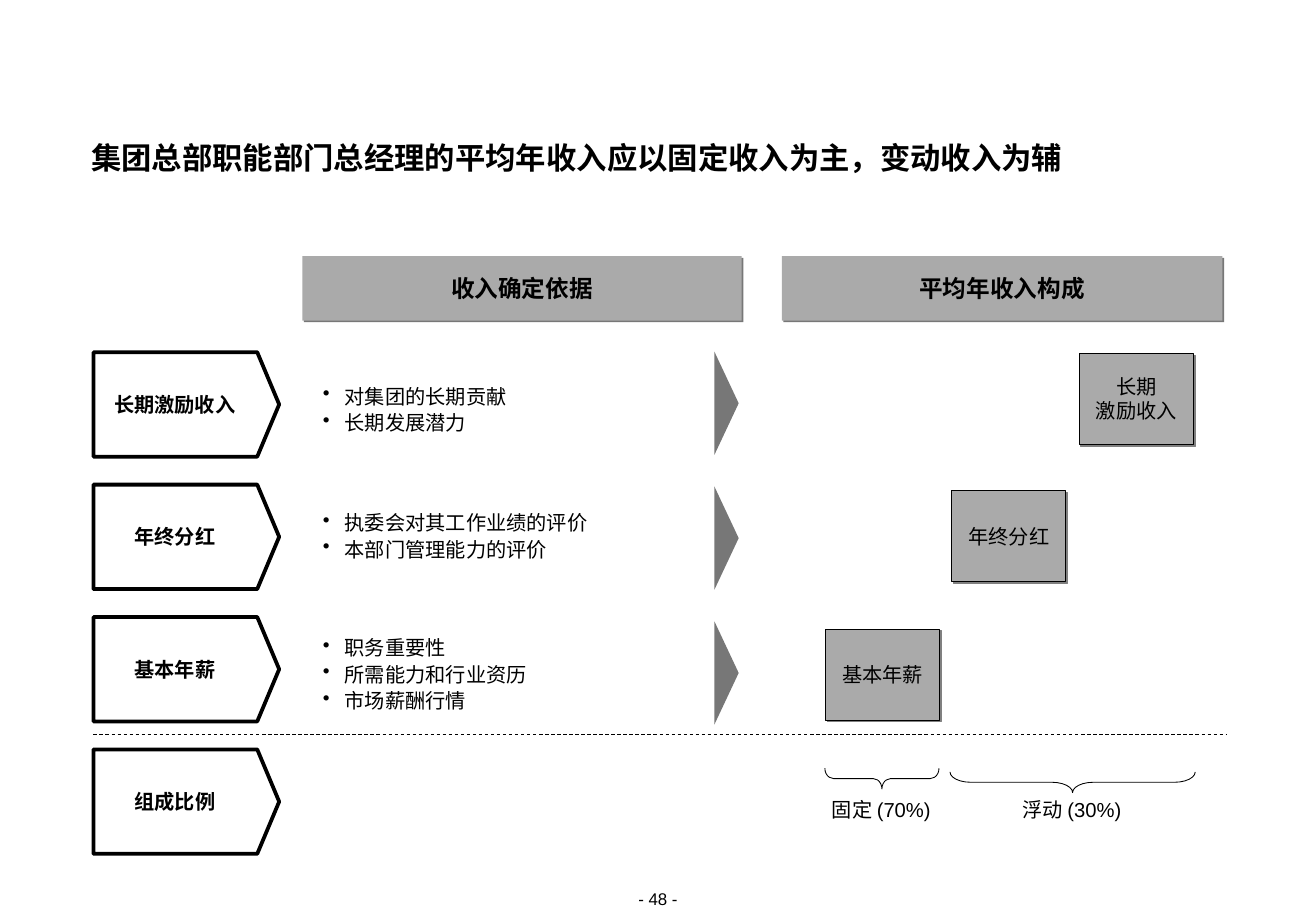
"""Build a slide on the pay mix of head-office general managers."""
from dataclasses import dataclass

from lxml import etree
from pptx import Presentation
from pptx.dml.color import RGBColor
from pptx.enum.dml import MSO_LINE
from pptx.enum.shapes import MSO_CONNECTOR, MSO_SHAPE
from pptx.enum.text import MSO_ANCHOR, MSO_AUTO_SIZE, PP_ALIGN
from pptx.oxml import parse_xml
from pptx.oxml.ns import nsdecls, qn
from pptx.util import Pt

PX = 9144
FONT = "Arial"
COLOR = {"ink": "000000", "panel": "AAAAAA", "arrow": "777777", "shade": "808080"}
RECT, TAG = MSO_SHAPE.RECTANGLE, MSO_SHAPE.PENTAGON
BRACE, MERGE = MSO_SHAPE.LEFT_BRACE, MSO_SHAPE.FLOWCHART_MERGE
LEFT, CENTER = PP_ALIGN.LEFT, PP_ALIGN.CENTER
TOP, MIDDLE = MSO_ANCHOR.TOP, MSO_ANCHOR.MIDDLE
FIXED, STRAIGHT, DASH = MSO_AUTO_SIZE.NONE, MSO_CONNECTOR.STRAIGHT, MSO_LINE.DASH


@dataclass(frozen=True)
class Area:
    x: int
    y: int
    w: int
    h: int

    def emu(self) -> tuple:
        return tuple(n * PX for n in (self.x, self.y, self.w, self.h))


@dataclass(frozen=True)
class Style:
    size: int = 12
    bold: bool = False
    align: int = CENTER
    anchor: int = MIDDLE
    space: object = None
    bullet: bool = False
    right: int = 0


@dataclass(frozen=True)
class Look:
    fill: str = ""
    line: float = 0
    shade: str = ""


@dataclass(frozen=True)
class Source:
    area: Area
    lines: tuple


@dataclass(frozen=True)
class Panel:
    area: Area
    text: str


@dataclass(frozen=True)
class Share:
    brace: Area
    bend: float
    label: Area
    text: str


HEAD = Style(14, True)
BODY = Style(space=Pt(14))
LABEL = Style(bold=True, right=10)
POINT = Style(align=LEFT, space=1.1, bullet=True)
TITLE = Style(18, True, LEFT, TOP, Pt(20))
PAGE = Style(10, anchor=TOP)

HEADS = (
    Panel(Area(249, 211, 362, 53), "收入确定依据"),
    Panel(Area(644, 211, 363, 53), "平均年收入构成"),
)
LABELS = ("长期激励收入", "年终分红", "基本年薪", "组成比例")
SOURCES = (
    Source(Area(265, 314, 238, 44), ("对集团的长期贡献", "长期发展潜力")),
    Source(Area(265, 418, 238, 44), ("执委会对其工作业绩的评价", "本部门管理能力的评价")),
    Source(Area(265, 521, 238, 66), ("职务重要性", "所需能力和行业资历", "市场薪酬行情")),
)
BOXES = (
    Panel(Area(889, 291, 94, 75), "长期\n激励收入"),
    Panel(Area(784, 404, 94, 75), "年终分红"),
    Panel(Area(680, 518, 94, 75), "基本年薪"),
)
SHARES = (
    Share(Area(718, 594, 17, 94), 0.42, Area(683, 657, 86, 19), "固定 (70%)"),
    Share(Area(875, 543, 17, 202), 1.0, Area(840, 657, 86, 19), "浮动 (30%)"),
)


def paint(name: str) -> RGBColor:
    return RGBColor.from_string(COLOR[name])


def write(shape, lines: tuple, style: Style) -> None:
    frame = shape.text_frame
    frame.word_wrap, frame.auto_size = True, FIXED
    frame.vertical_anchor = style.anchor
    frame.margin_left = frame.margin_top = frame.margin_bottom = 0
    frame.margin_right = style.right * PX
    for i, line in enumerate(lines):
        para = frame.add_paragraph() if i else frame.paragraphs[0]
        if style.bullet:
            props = para._p.get_or_add_pPr()
            props.set("marL", str(19 * PX))
            props.set("indent", str(-18 * PX))
            etree.SubElement(props, qn("a:buChar")).set("char", "•")
        para.alignment = style.align
        para.space_before = Pt(0)
        if style.space:
            para.line_spacing = style.space
        for j, part in enumerate(line.split("\n")):
            if j:
                para.add_line_break()
            run = para.add_run()
            run.text = part
            font = run.font
            font.name, font.size, font.bold = FONT, Pt(style.size), style.bold
            font.color.rgb = paint("ink")


def label(slide, area: Area, lines: tuple, style: Style) -> None:
    write(slide.shapes.add_textbox(*area.emu()), lines, style)


def draw(slide, kind: int, area: Area, look: Look, turn: int = 0):
    shape = slide.shapes.add_shape(kind, *area.emu())
    shape.rotation = turn
    shape.shadow.inherit = False
    if look.fill:
        shape.fill.solid()
        shape.fill.fore_color.rgb = paint(look.fill)
    else:
        shape.fill.background()
    if look.line:
        shape.line.color.rgb = paint("ink")
        shape.line.width = Pt(look.line)
    else:
        shape.line.fill.background()
    if look.shade:
        shape._element.spPr.find(qn("a:effectLst")).append(parse_xml(
            f'<a:outerShdw {nsdecls("a")} dist="17780" dir="2700000" algn="ctr" '
            f'rotWithShape="0"><a:srgbClr val="{COLOR[look.shade]}"/></a:outerShdw>'))
    return shape


def rule(slide, x: int, y: int, end: int) -> None:
    line = slide.shapes.add_connector(STRAIGHT, x * PX, y * PX, end * PX, y * PX)
    line.line.color.rgb = paint("ink")
    line.line.width = Pt(0.5)
    line.line.dash_style = DASH
    etree.SubElement(line._element.spPr, qn("a:effectLst"))


def main() -> None:
    deck = Presentation()
    deck.slide_width, deck.slide_height = 1084 * PX, 750 * PX
    slide = deck.slides.add_slide(deck.slide_layouts[5])
    title = slide.shapes.title
    title.left, title.top, title.width, title.height = Area(75, 117, 933, 28).emu()
    write(title, ("集团总部职能部门总经理的平均年收入应以固定收入为主，变动收入为辅",), TITLE)

    for head in HEADS:
        shape = draw(slide, RECT, head.area, Look("panel", shade="arrow"))
        write(shape, (head.text,), HEAD)
    for i, text in enumerate(LABELS):
        tag = draw(slide, TAG, Area(77, 290 + 109 * i, 153, 86), Look(line=2.25))
        tag.adjustments[0] = 0.21
        write(tag, (text,), LABEL)
    for i, source in enumerate(SOURCES):
        label(slide, source.area, source.lines, POINT)
        draw(slide, MERGE, Area(556, 322 + 111 * i, 85, 20), Look("arrow"), 270)
    for box in BOXES:
        shape = draw(slide, RECT, box.area, Look("panel", 0.5, "shade"))
        write(shape, (box.text,), BODY)

    rule(slide, 77, 605, 1010)
    for share in SHARES:
        brace = draw(slide, BRACE, share.brace, Look(line=0.5), 270)
        brace.adjustments[0] = share.bend
        label(slide, share.label, (share.text,), BODY)
    label(slide, Area(485, 732, 114, 17), ("- 48 -",), PAGE)
    deck.save("out.pptx")


if __name__ == "__main__":
    main()
